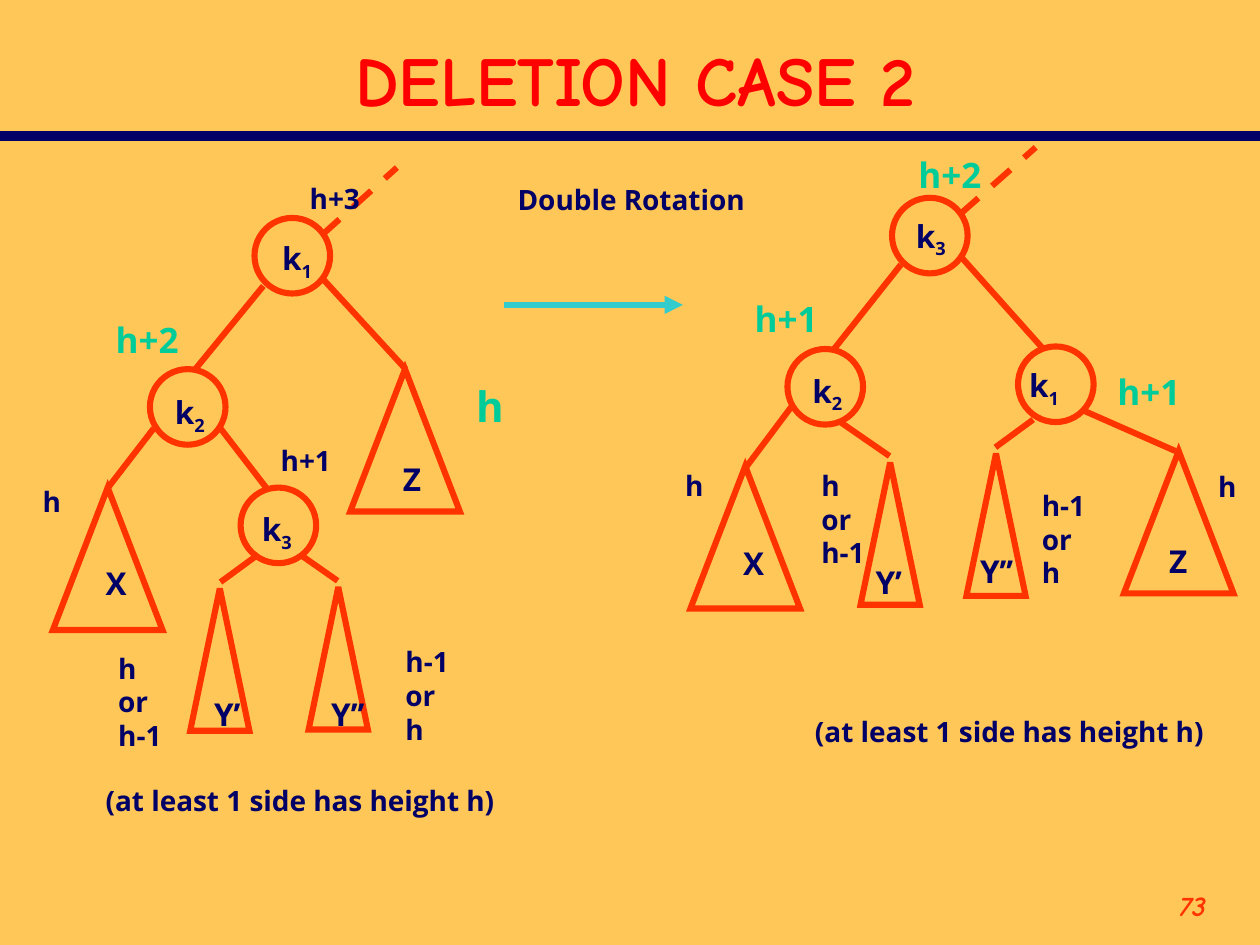
from lxml import etree
from pptx import Presentation
from pptx.dml.color import RGBColor
from pptx.enum.dml import MSO_LINE_DASH_STYLE as DASH
from pptx.enum.shapes import MSO_CONNECTOR, MSO_SHAPE
from pptx.enum.text import MSO_ANCHOR, MSO_AUTO_SIZE, PP_ALIGN
from pptx.oxml.ns import qn
from pptx.util import Inches, Pt

NAVY, ORANGE, GREEN, TEAL, RED = "000066", "FF3300", "00CC99", "33CCCC", "FF0000"
HEADING, BODY = "Comic Neue", "Open Sans"
NODE_SIZE, SUBTREE_HEIGHT = 0.6, 1.13
WIDE, NARROW = 0.87, 0.47
NOTE = "(at least 1 side has height h)"

# All places are inches from the top left corner of the tree's box.
# nodes: key index, circle x, y, key x, y
# subtrees: name, x, y, width, name x, y, name width
# labels: lines, size, colour, x, y, width
BEFORE = {
    "nodes": [
        ("1", 1.82, 0.43, 1.94, 0.55),
        ("2", 0.99, 1.63, 1.09, 1.77),
        ("3", 1.71, 2.57, 1.78, 2.7),
    ],
    "subtrees": [
        ("X", 0.22, 2.57, WIDE, 0.54, 3.13, 0.36),
        ("Z", 2.58, 1.63, WIDE, 2.9, 2.3, 0.34),
        ("Y’", 1.31, 3.37, NARROW, 1.4, 4.17, 0.41),
        ("Y’’", 2.25, 3.36, NARROW, 2.33, 4.17, 0.54),
    ],
    "edges": [
        (1.35, 1.63, 1.89, 0.97), (2.35, 0.9, 3.02, 1.63),
        (1.02, 2.1, 0.65, 2.58), (1.55, 2.1, 1.92, 2.58),
        (1.55, 3.32, 1.85, 3.1), (2.48, 3.31, 2.18, 3.1),
    ],
    "parent_edge": (2.35, 0.57, 2.95, 0.03),
    "labels": [
        (["h+3"], 16, NAVY, 2.16, 0.09, 0.6),
        (["h+2"], 20, GREEN, 0.62, 1.18, 0.7),
        (["h"], 24, GREEN, 3.48, 1.67, 0.42),
        (["h"], 16, NAVY, 0.04, 2.5, 0.34),
        (["h+1"], 16, NAVY, 1.93, 2.17, 0.6),
        (["h", "or", "h-1"], 16, NAVY, 0.64, 3.82, 0.54),
        (["h-1", "or", "h"], 16, NAVY, 2.92, 3.77, 0.54),
        ([NOTE], 16, NAVY, 0.54, 4.87, 3.3),
    ],
}
AFTER = {
    "nodes": [
        ("3", 1.78, 0.47, 1.87, 0.57),
        ("2", 0.95, 1.67, 1.05, 1.8),
        ("1", 2.78, 1.65, 2.77, 1.76),
    ],
    "subtrees": [
        ("X", 0.18, 2.6, WIDE, 0.5, 3.17, 0.36),
        ("Y’", 1.53, 2.57, NARROW, 1.55, 3.32, 0.41),
        ("Y’’", 2.37, 2.5, NARROW, 2.38, 3.23, 0.54),
        ("Z", 3.62, 2.48, WIDE, 3.88, 3.15, 0.34),
    ],
    "edges": [
        (1.32, 1.67, 1.85, 1), (2.32, 0.93, 2.98, 1.67),
        (0.98, 2.13, 0.62, 2.61), (1.76, 2.52, 1.37, 2.25),
        (2.6, 2.45, 2.9, 2.23), (4.03, 2.48, 3.28, 2.15),
    ],
    "parent_edge": (2.32, 0.6, 2.92, 0.07),
    "labels": [
        (["h+2"], 20, GREEN, 1.89, 0.07, 0.7),
        (["h+1"], 20, GREEN, 0.59, 1.21, 0.7),
        (["h+1"], 20, GREEN, 3.47, 1.79, 0.7),
        (["h"], 16, NAVY, 0.04, 2.57, 0.34),
        (["h", "or", "h-1"], 16, NAVY, 1.12, 2.57, 0.54),
        (["h-1", "or", "h"], 16, NAVY, 2.87, 2.73, 0.54),
        (["h"], 16, NAVY, 4.27, 2.58, 0.34),
        ([NOTE], 16, NAVY, 1.07, 4.52, 3.3),
    ],
}


def color(hex_string):
    return RGBColor.from_string(hex_string)


def add_run(paragraph, text, size, hex_string, font=BODY):
    run = paragraph.add_run()
    run.text = text
    run.font.name, run.font.size, run.font.bold = font, Pt(size), True
    run.font.color.rgb = color(hex_string)
    return run


def add_label(slide, lines, size, hex_string, x, y, width):
    height = 0.1 + len(lines) * size / 60
    label = slide.shapes.add_textbox(Inches(x), Inches(y), Inches(width), Inches(height))
    frame = label.text_frame
    frame.word_wrap = False
    frame.auto_size = MSO_AUTO_SIZE.SHAPE_TO_FIT_TEXT
    for i, line in enumerate(lines):
        paragraph = frame.add_paragraph() if i else frame.paragraphs[0]
        add_run(paragraph, line, size, hex_string)


def add_key(slide, index, x, y):
    key = slide.shapes.add_textbox(Inches(x), Inches(y), Inches(0.47), Inches(0.44))
    key.text_frame.word_wrap = True
    paragraph = key.text_frame.paragraphs[0]
    add_run(paragraph, "k", 18, NAVY)
    subscript = add_run(paragraph, index, 18, NAVY)
    subscript.font._element.set("baseline", "-25000")


def add_outline(slide, kind, x, y, width, height):
    outline = slide.shapes.add_shape(kind, Inches(x), Inches(y), Inches(width), Inches(height))
    outline.shadow.inherit = False
    outline.fill.background()
    outline.line.color.rgb = color(ORANGE)
    outline.line.width = Pt(3.5)
    miter = etree.SubElement(outline.line._get_or_add_ln(), qn("a:miter"))
    miter.set("lim", "800000")


def add_line(slide, x1, y1, x2, y2, hex_string=ORANGE, width=3.5):
    connector = slide.shapes.add_connector(
        MSO_CONNECTOR.STRAIGHT, Inches(x1), Inches(y1), Inches(x2), Inches(y2))
    connector.line.color.rgb = color(hex_string)
    connector.line.width = Pt(width)
    etree.SubElement(connector._element.spPr, qn("a:effectLst"))
    return connector


def add_tree(slide, left, top, tree):
    def place_line(x1, y1, x2, y2):
        return add_line(slide, left + x1, top + y1, left + x2, top + y2)

    # Edges, with the dashed one leading up to the parent
    for edge in tree["edges"]:
        place_line(*edge)
    place_line(*tree["parent_edge"]).line.dash_style = DASH.DASH

    # Nodes and subtrees
    for index, x, y, key_x, key_y in tree["nodes"]:
        add_outline(slide, MSO_SHAPE.OVAL, left + x, top + y, NODE_SIZE, NODE_SIZE)
        add_key(slide, index, left + key_x, top + key_y)
    for name, x, y, width, name_x, name_y, name_width in tree["subtrees"]:
        add_outline(slide, MSO_SHAPE.ISOSCELES_TRIANGLE, left + x, top + y,
                    width, SUBTREE_HEIGHT)
        add_label(slide, [name], 18, NAVY, left + name_x, top + name_y, name_width)

    # Heights
    for lines, size, hex_string, x, y, width in tree["labels"]:
        add_label(slide, lines, size, hex_string, left + x, top + y, width)


def add_rotation(slide, left, top):
    add_label(slide, ["Double Rotation"], 16, NAVY, left + 0.01, top, 2.1)
    arrow = add_line(slide, left, top + 1.02, left + 1.42, top + 1.02, TEAL)
    tail = etree.SubElement(arrow.line._get_or_add_ln(), qn("a:tailEnd"))
    tail.set("type", "triangle")


def add_heading(slide, left, top, width, height):
    title = slide.shapes.title
    title.left, title.top = Inches(left), Inches(top)
    title.width, title.height = Inches(width), Inches(height)
    title.text_frame.vertical_anchor = MSO_ANCHOR.MIDDLE
    paragraph = title.text_frame.paragraphs[0]
    paragraph.alignment = PP_ALIGN.CENTER
    add_run(paragraph, "DELETION CASE 2", 40, RED, HEADING)
    add_line(slide, 0, 1.08, 10, 1.08, NAVY, 6)


def add_page_number(slide, left, top, width, height):
    number = slide.shapes.add_textbox(Inches(left), Inches(top), Inches(width), Inches(height))
    number.text_frame.word_wrap = True
    paragraph = number.text_frame.paragraphs[0]
    paragraph.alignment = PP_ALIGN.RIGHT
    add_run(paragraph, "73", 16, ORANGE, HEADING).font.italic = True


def main():
    deck = Presentation()
    deck.slide_width, deck.slide_height = Inches(10), Inches(7.5)
    slide = deck.slides.add_slide(deck.slide_layouts[5])
    slide.background.fill.solid()
    slide.background.fill.fore_color.rgb = color("FFC757")
    add_heading(slide, 0.42, 0.25, 9.25, 0.75)
    add_tree(slide, 0.2, 1.3, BEFORE)
    add_rotation(slide, 4, 1.4)
    add_tree(slide, 5.3, 1.1, AFTER)
    add_page_number(slide, 8.67, 7, 1, 0.5)
    deck.save("out.pptx")


if __name__ == "__main__":
    main()
